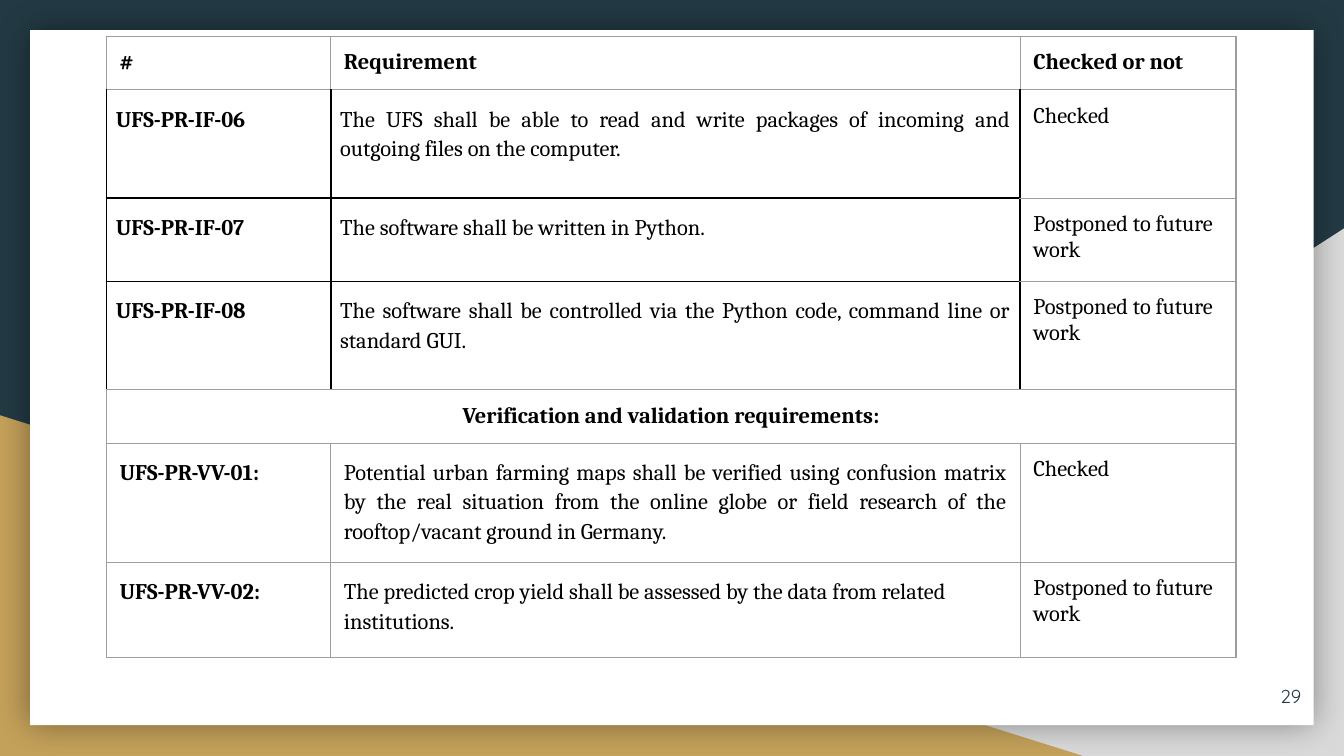
"""Build the requirements checklist slide."""
from dataclasses import dataclass

from lxml import etree
from pptx import Presentation
from pptx.dml.color import RGBColor
from pptx.enum.shapes import MSO_SHAPE
from pptx.enum.text import MSO_ANCHOR, PP_ALIGN
from pptx.oxml import parse_xml
from pptx.oxml.ns import nsdecls, qn
from pptx.util import Cm, Pt

TRIANGLE, RECTANGLE = MSO_SHAPE.RIGHT_TRIANGLE, MSO_SHAPE.RECTANGLE
LEFT, CENTER, RIGHT, JUSTIFY = PP_ALIGN.LEFT, PP_ALIGN.CENTER, PP_ALIGN.RIGHT, PP_ALIGN.JUSTIFY
MIDDLE = MSO_ANCHOR.MIDDLE


@dataclass(frozen=True)
class Theme:
    navy: str = "233A44"
    silver: str = "D9D9D9"
    gold: str = "C4A15A"
    white: str = "FFFFFF"
    black: str = "000000"
    grid: str = "9E9E9E"
    table_font: str = "Cambria"
    number_font: str = "Quicksand"
    table_size: int = 12
    number_size: int = 10


theme = Theme()


def style_font(font, name, size, color, bold=False):
    font.name, font.size, font.bold = name, Pt(size), bold
    font.color.rgb = RGBColor.from_string(color)


def add_border(cell, side, color, width):
    line = etree.SubElement(cell._tc.get_or_add_tcPr(), qn(f"a:ln{side}"), w=str(Pt(width)))
    fill = etree.SubElement(line, qn("a:solidFill"))
    etree.SubElement(fill, qn("a:srgbClr"), val=color)


deck = Presentation()
deck.slide_width, deck.slide_height = Cm(25.4), Cm(14.29)
page = deck.slides.add_slide(deck.slide_layouts[6])
page.background.fill.solid()
page.background.fill.fore_color.rgb = RGBColor.from_string(theme.navy)

backdrop = [
    (TRIANGLE, theme.silver, 9.96, 4.32, 15.44, 9.97),
    (TRIANGLE, theme.gold, 0, 7.85, 20.47, 6.44),
    (RECTANGLE, theme.white, 0.57, 0.57, 24.26, 13.14),
]
panels = []
for kind, color, *place in backdrop:
    panel = page.shapes.add_shape(kind, *map(Cm, place))
    panel.shadow.inherit = False
    panel.fill.solid()
    panel.fill.fore_color.rgb = RGBColor.from_string(color)
    panel.line.fill.background()
    panels.append(panel)

silver_corner, gold_corner, sheet = panels
silver_corner._element.spPr.find(qn("a:xfrm")).set("flipH", "1")
sheet._element.spPr.find(qn("a:effectLst")).append(parse_xml(
    f'<a:outerShdw {nsdecls("a")} blurRad="{Pt(18)}" dist="0" dir="0" algn="ctr" rotWithShape="0">'
    f'<a:srgbClr val="{theme.black}"><a:alpha val="40000"/></a:srgbClr></a:outerShdw>'))

number_box = page.shapes.add_textbox(Cm(23.31), Cm(12.62), Cm(1.53), Cm(1.09))
frame = number_box.text_frame
frame.word_wrap = True
frame.vertical_anchor = MIDDLE
frame.margin_left = frame.margin_right = frame.margin_top = frame.margin_bottom = Cm(0.25)
paragraph = frame.paragraphs[0]
paragraph.text = "29"
paragraph.alignment = RIGHT
style_font(paragraph.font, theme.number_font, theme.number_size, theme.navy)

column_widths = [4.24, 13.03, 4.08]
row_heights = [0.81, 2.05, 1.57, 2.05, 0.81, 1.84, 1.8]
HEADER, SECTION, LAST = 0, 4, 6
INTERFACE = range(1, 4)
DONE, LATER = "Checked", "Postponed to future work"
rows = [
    ("#", "Requirement", "Checked or not"),
    ("UFS-PR-IF-06", "The UFS shall be able to read and write packages of incoming and "
     "outgoing files on the computer.", DONE),
    ("UFS-PR-IF-07", "The software shall be written in Python.", LATER),
    ("UFS-PR-IF-08", "The software shall be controlled via the Python code, command line or "
     "standard GUI.", LATER),
    ("Verification and validation requirements:", "", ""),
    ("UFS-PR-VV-01:", "Potential urban farming maps shall be verified using confusion matrix "
     "by the real situation from the online globe or field research of the "
     "rooftop/vacant ground in Germany.", DONE),
    ("UFS-PR-VV-02:", "The predicted crop yield shall be assessed by the data from related "
     "institutions.", LATER),
]
table = page.shapes.add_table(
    len(rows), len(column_widths), Cm(2.01), Cm(0.69),
    Cm(sum(column_widths)), Cm(sum(row_heights))).table
table.first_row = table.horz_banding = False
for column, width in zip(table.columns, column_widths):
    column.width = Cm(width)
for row, height in zip(table.rows, row_heights):
    row.height = Cm(height)
table.cell(SECTION, 0).merge(table.cell(SECTION, 2))

for r, texts in enumerate(rows):
    for c, text in enumerate(texts):
        cell = table.cell(r, c)
        heading = r in (HEADER, SECTION)
        requirement = not heading and c < 2
        framed = r in INTERFACE and c < 2
        dark_sides = {
            "L": r in INTERFACE,
            "R": framed,
            "T": framed and r > INTERFACE[0],
            "B": framed and r < INTERFACE[-1],
        }
        for side, dark in dark_sides.items():
            add_border(cell, side, theme.black if dark else theme.grid, 1 if dark else 0.75)
        cell.fill.background()
        cell.margin_left = cell.margin_right = Cm(0.18 if framed else 0.25)
        cell.margin_top = cell.margin_bottom = Cm(0.25)

        paragraph = cell.text_frame.paragraphs[0]
        paragraph.text = text
        paragraph.alignment = CENTER if r == SECTION else JUSTIFY if requirement else LEFT
        if requirement:
            paragraph.line_spacing = 1.15
        if framed:
            paragraph.space_after = Pt(12)
        if (r, c) == (LAST, 1):
            paragraph.alignment = LEFT
            paragraph.space_after = Pt(16)
        style_font(paragraph.font, theme.table_font, theme.table_size, theme.black,
                   heading or c == 0)

deck.save("out.pptx")
